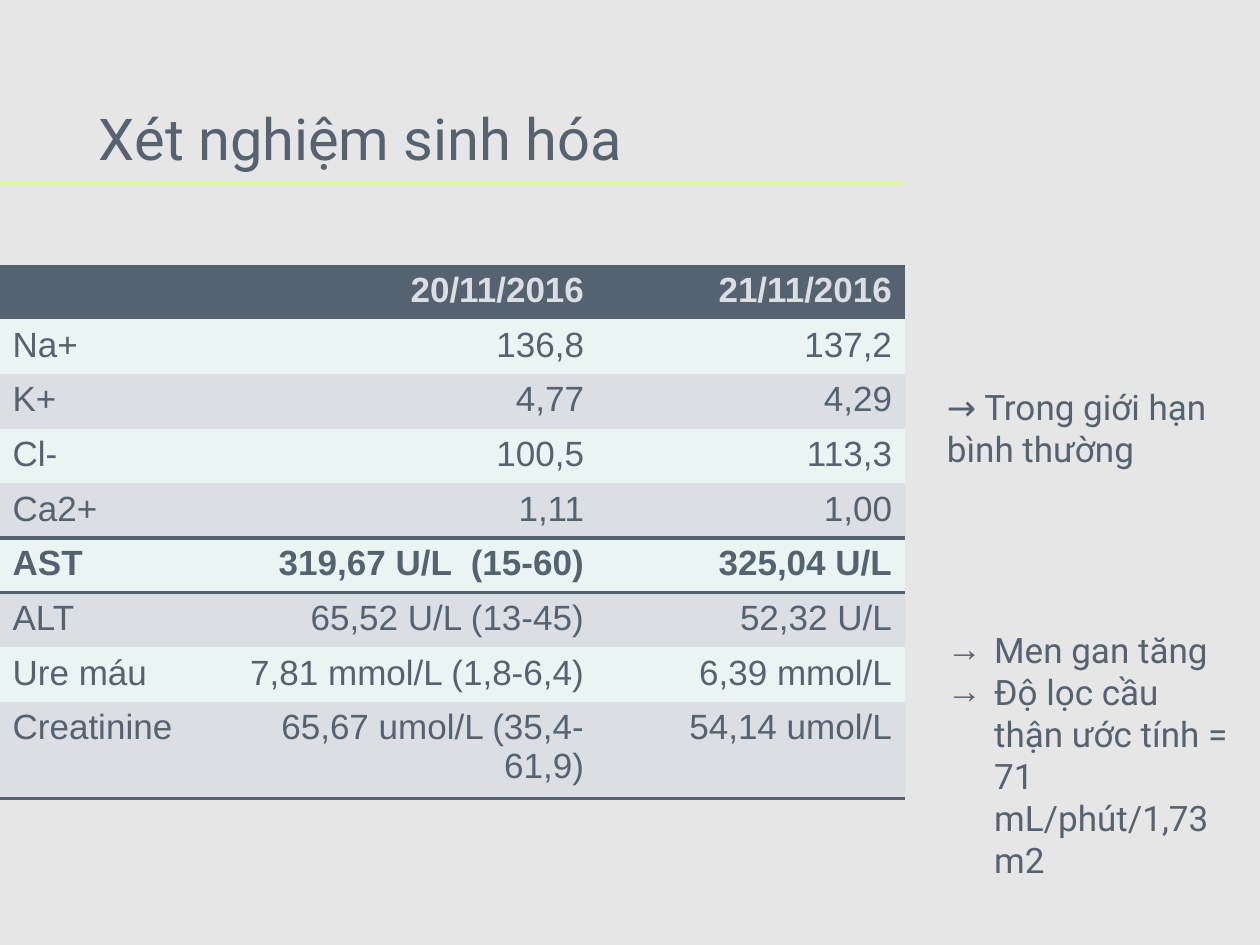
from pptx import Presentation
from pptx.dml.color import RGBColor
from pptx.enum.shapes import MSO_CONNECTOR
from pptx.enum.text import MSO_ANCHOR, PP_ALIGN
from pptx.oxml import parse_xml
from pptx.oxml.ns import nsdecls, qn
from pptx.util import Pt

INK, PALE, MINT, LIME, BACK = "556270", "DBDEE3", "EAF4F2", "DDF8A0", "E6E6E6"
PLAIN = "{2D5ABB26-0587-4C30-8999-92F81FD0307C}"
ROWS = [
    ("", "20/11/2016", "21/11/2016"),
    ("Na+", "136,8", "137,2"),
    ("K+", "4,77", "4,29"),
    ("Cl-", "100,5", "113,3"),
    ("Ca2+", "1,11", "1,00"),
    ("AST", "319,67 U/L  (15-60)", "325,04 U/L"),
    ("ALT", "65,52 U/L (13-45)", "52,32 U/L"),
    ("Ure máu", "7,81 mmol/L (1,8-6,4)", "6,39 mmol/L"),
    ("Creatinine", "65,67 umol/L (35,4-61,9)", "54,14 umol/L"),
]
BOLD = (0, 5)
RULED = {4: "BT"[:1], 5: "T", 8: "B"}


def color(code):
    return RGBColor.from_string(code)


def add_run(para, text, size, font, code=INK, bold=False):
    run = para.add_run()
    run.text = text
    run.font.size = Pt(size)
    run.font.name = font
    run.font.bold = bold
    run.font.color.rgb = color(code)


def add_box(slide, box):
    frame = slide.shapes.add_textbox(*map(Pt, box)).text_frame
    frame.word_wrap = True
    return frame


def add_title(slide, box, text, reach):
    left, top, width, height = box
    frame = add_box(slide, box)
    frame.vertical_anchor = MSO_ANCHOR.MIDDLE
    para = frame.paragraphs[0]
    para.line_spacing = 0.9
    add_run(para, text, 33, "Roboto")
    base = Pt(top + 75.6)
    line = slide.shapes.add_connector(MSO_CONNECTOR.STRAIGHT, 0, base, Pt(reach), base)
    line.line.color.rgb = color(LIME)
    line.line.width = Pt(2.25)
    line.element.spPr.append(parse_xml(f"<a:effectLst {nsdecls('a')}/>"))


def add_rule(cell, side):
    props = cell._tc.get_or_add_tcPr()
    props.insert(0, parse_xml(
        f'<a:ln{side} {nsdecls("a")} w="{Pt(2.25)}"><a:solidFill>'
        f'<a:srgbClr val="{INK}"/></a:solidFill></a:ln{side}>'))


def add_grid(slide, box, widths):
    shape = slide.shapes.add_table(len(ROWS), len(widths), *map(Pt, box))
    for style in shape.element.iter(qn("a:tableStyleId")):
        style.text = PLAIN
    table = shape.table
    for col, width in zip(table.columns, widths):
        col.width = Pt(width)
    for i, texts in enumerate(ROWS):
        table.rows[i].height = Pt(box[3] / len(ROWS))
        fill = INK if i == 0 else MINT if i % 2 else PALE
        for j, text in enumerate(texts):
            cell = table.cell(i, j)
            cell.fill.solid()
            cell.fill.fore_color.rgb = color(fill)
            para = cell.text_frame.paragraphs[0]
            if j:
                para.alignment = PP_ALIGN.RIGHT
            if text:
                add_run(para, text, 20, "Arial", INK if i else PALE, i in BOLD)
            if i in RULED:
                add_rule(cell, RULED[i])


def add_note(slide, box, texts, listed=False):
    frame = add_box(slide, box)
    for i, text in enumerate(texts):
        para = frame.add_paragraph() if i else frame.paragraphs[0]
        if listed:
            props = para._p.get_or_add_pPr()
            props.set("marL", str(Pt(27)))
            props.set("indent", str(Pt(-27)))
            props.append(parse_xml(
                f'<a:buClr {nsdecls("a")}><a:srgbClr val="{INK}"/></a:buClr>'))
            props.append(parse_xml(f'<a:buFont {nsdecls("a")} typeface="Arial"/>'))
            props.append(parse_xml(f'<a:buChar {nsdecls("a")} char="→"/>'))
        add_run(para, text, 20, "Roboto")


def main():
    deck = Presentation()
    deck.slide_width, deck.slide_height = Pt(720), Pt(540)
    slide = deck.slides.add_slide(deck.slide_layouts[6])
    slide.background.fill.solid()
    slide.background.fill.fore_color.rgb = color(BACK)
    widths = (119, 222, 176)
    wide = sum(widths)
    add_title(slide, (49.5, 28.8, 621, 104.4), "Xét nghiệm sinh hóa", wide)
    add_grid(slide, (0, 151.2, wide, 265.5), widths)
    add_note(slide, (534, 216.7, 169.2, 55.4), ["→ Trong giới hạn bình thường"])
    add_note(slide, (534, 355.7, 176.4, 128.2), [
        "Men gan tăng", "Độ lọc cầu thận ước tính = 71 mL/phút/1,73m2"], True)
    deck.save("out.pptx")


if __name__ == "__main__":
    main()
